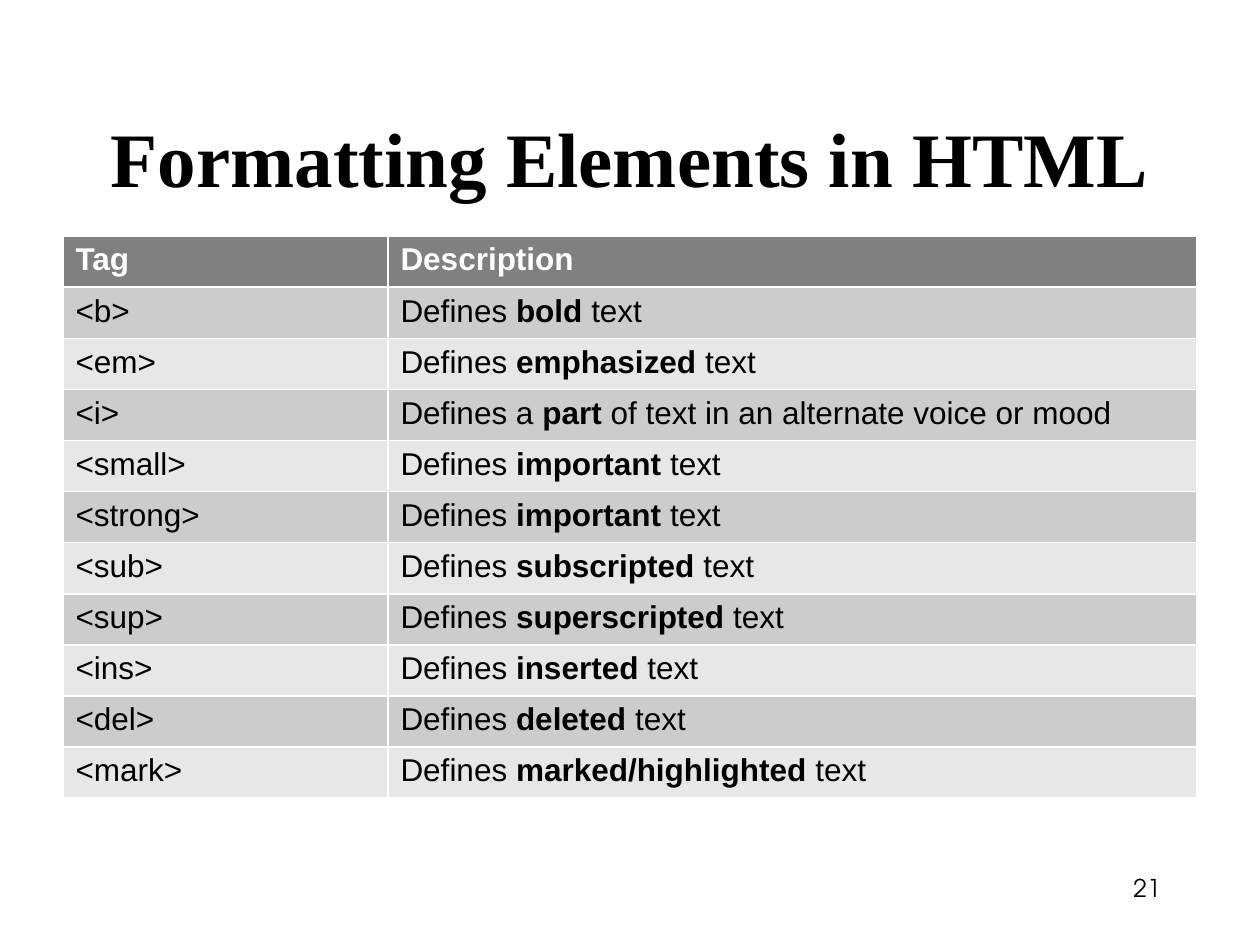
from pptx import Presentation
from pptx.dml.color import RGBColor
from pptx.enum.text import PP_ALIGN
from pptx.util import Cm, Pt

BLACK = RGBColor(0x00, 0x00, 0x00)
WHITE = RGBColor(0xFF, 0xFF, 0xFF)
HEADER_GRAY = RGBColor(0x80, 0x80, 0x80)
DARK_BAND = RGBColor(0xCC, 0xCC, 0xCC)
LIGHT_BAND = RGBColor(0xE7, 0xE7, 0xE7)

# Tag, then the description before, in and after the bold words
ELEMENTS = [
    ("<b>", "Defines ", "bold", " text"),
    ("<em>", "Defines ", "emphasized", " text"),
    ("<i>", "Defines a ", "part", " of text in an alternate voice or mood"),
    ("<small>", "Defines ", "important", " text"),
    ("<strong>", "Defines ", "important", " text"),
    ("<sub>", "Defines ", "subscripted", " text"),
    ("<sup>", "Defines ", "superscripted", " text"),
    ("<ins>", "Defines ", "inserted", " text"),
    ("<del>", "Defines ", "deleted", " text"),
    ("<mark>", "Defines ", "marked/highlighted", " text"),
]
COLUMN_WIDTHS = [Cm(6.55), Cm(16.31)]
ROW_HEIGHT = Cm(1.03)


def add_run(paragraph, text, font_name, size, color=BLACK, bold=False):
    run = paragraph.add_run()
    run.text = text
    run.font.name = font_name
    run.font.size = Pt(size)
    run.font.color.rgb = color
    run.font.bold = bold


def fill_cell(cell, fill_color, parts, text_color=BLACK):
    """Fill a cell with parts, a list of (text, bold) pairs."""
    cell.fill.solid()
    cell.fill.fore_color.rgb = fill_color
    paragraph = cell.text_frame.paragraphs[0]
    for text, bold in parts:
        add_run(paragraph, text, "Arial", 18, text_color, bold)


presentation = Presentation()
presentation.slide_width = Cm(25.4)
presentation.slide_height = Cm(19.05)
slide = presentation.slides.add_slide(presentation.slide_layouts[6])

# Title
title = slide.shapes.add_textbox(Cm(1.27), Cm(1.9), Cm(22.86), Cm(3.18))
title.text_frame.word_wrap = True
title.text_frame.margin_top = Cm(0.33)
paragraph = title.text_frame.paragraphs[0]
paragraph.alignment = PP_ALIGN.CENTER
add_run(paragraph, "Formatting Elements in HTML", "Times New Roman", 44, bold=True)

# Table of elements; the default style draws the white cell borders
row_count = len(ELEMENTS) + 1
table = slide.shapes.add_table(
    row_count, len(COLUMN_WIDTHS), Cm(1.27), Cm(4.76),
    sum(COLUMN_WIDTHS), ROW_HEIGHT * row_count,
).table
for column, width in zip(table.columns, COLUMN_WIDTHS):
    column.width = width
for row in table.rows:
    row.height = ROW_HEIGHT

for column_index, heading in enumerate(["Tag", "Description"]):
    fill_cell(table.cell(0, column_index), HEADER_GRAY, [(heading, True)], WHITE)
for row_index, (tag, before, keyword, after) in enumerate(ELEMENTS, start=1):
    band = DARK_BAND if row_index % 2 else LIGHT_BAND
    fill_cell(table.cell(row_index, 0), band, [(tag, False)])
    fill_cell(table.cell(row_index, 1), band,
              [(before, False), (keyword, True), (after, False)])

# Slide number
slide_number = slide.shapes.add_textbox(Cm(22.6), Cm(17.17), Cm(1.4), Cm(1.55))
slide_number.text_frame.word_wrap = True
paragraph = slide_number.text_frame.paragraphs[0]
paragraph.line_spacing = 1.5
add_run(paragraph, "21", "TeX Gyre Adventor", 14)

presentation.save("out.pptx")
